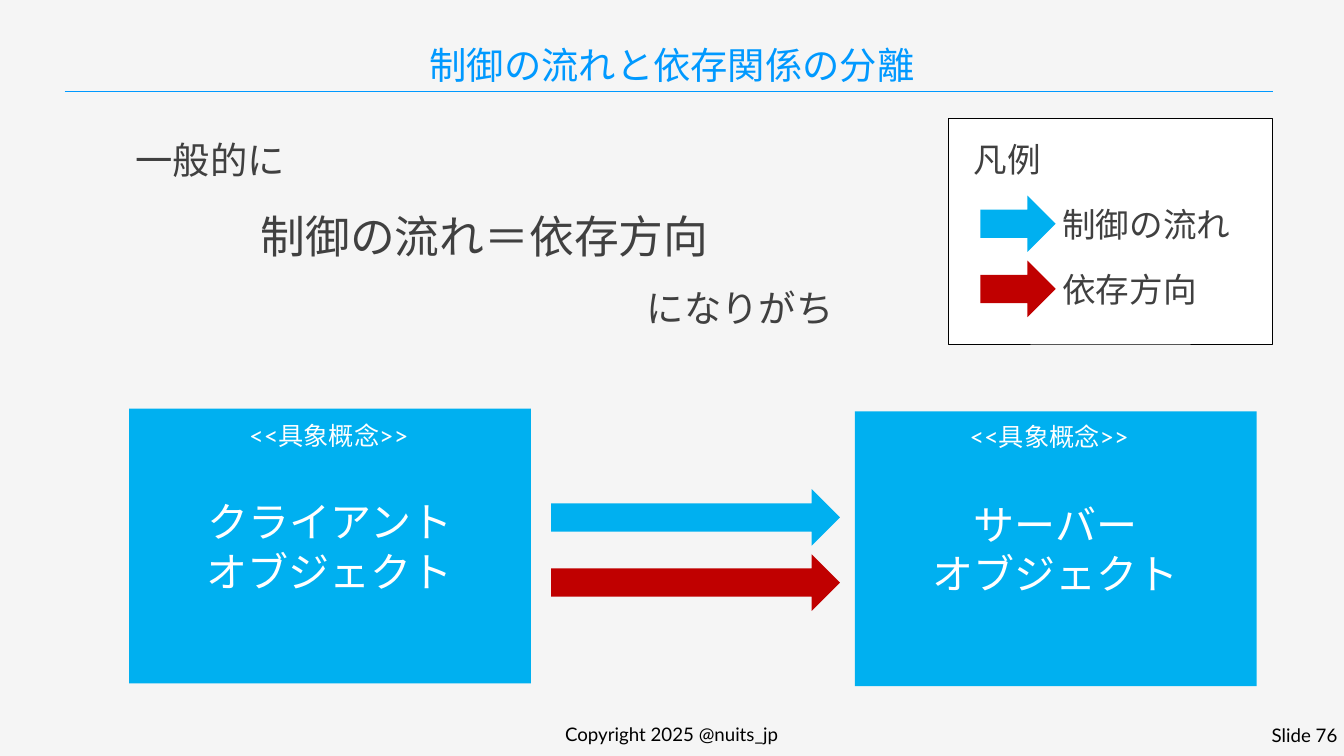
from pptx import Presentation
from pptx.dml.color import RGBColor
from pptx.enum.shapes import MSO_CONNECTOR, MSO_SHAPE
from pptx.enum.text import MSO_ANCHOR, PP_ALIGN
from pptx.oxml.ns import qn
from pptx.util import Inches, Pt
from lxml.etree import SubElement

FONT = "Lato"
BACKGROUND, WHITE, BLACK, GRAY = "F5F5F5", "FFFFFF", "000000", "404040"
TITLE_BLUE, FLOW_BLUE, DEPENDENCY_RED = "0099FF", "00B0F0", "C00000"
LEFT, CENTER, RIGHT = PP_ALIGN.LEFT, PP_ALIGN.CENTER, PP_ALIGN.RIGHT

TITLE = "制御の流れと依存関係の分離"
MESSAGE = [  # text, size, alignment
    ("一般的に", 40, LEFT),
    ("制御の流れ＝依存方向", 48, CENTER),
    ("になりがち", 40, RIGHT),
]
LEGEND_TITLE = "凡例"
ARROWS = [  # meaning, colour, legend label width
    ("制御の流れ", FLOW_BLUE, 2.73),
    ("依存方向", DEPENDENCY_RED, 2.22),
]
STEREOTYPE = "<<具象概念>>"
OBJECTS = [  # name lines, left, top, stereotype left, stereotype top
    (["クライアント", "オブジェクト"], 1.92, 6.08, 3.61, 6.21),
    (["サーバー", "オブジェクト"], 12.72, 6.12, 14.33, 6.22),
]
FOOTER = "Copyright 2025 @nuits_jp"
SLIDE_NUMBER = "Slide 76"

OBJECT_SIZE = (5.98, 4.09)
ARROW_HEIGHT, ARROW_PITCH = 0.84, 0.97


def color(hex_code):
    return RGBColor.from_string(hex_code)


def write(shape, lines, text_color, anchor=MSO_ANCHOR.TOP, wrap=True, spacing=None):
    """Fill a shape with (text, size, alignment) lines."""
    frame = shape.text_frame
    frame.word_wrap = wrap
    frame.vertical_anchor = anchor
    for index, (text, size, alignment) in enumerate(lines):
        paragraph = frame.add_paragraph() if index else frame.paragraphs[0]
        paragraph.text = text
        paragraph.alignment = alignment
        if spacing:
            paragraph.line_spacing = spacing
        paragraph.font.name = FONT
        paragraph.font.size = Pt(size)
        paragraph.font.color.rgb = color(text_color)


def add_text(shapes, box, lines, text_color, **options):
    write(shapes.add_textbox(*map(Inches, box)), lines, text_color, **options)


def add_block(shapes, kind, box, fill, outline=None):
    """Add a flat preset shape, outlined only when a colour is given."""
    shape = shapes.add_shape(kind, *map(Inches, box))
    shape.shadow.inherit = False
    shape.fill.solid()
    shape.fill.fore_color.rgb = color(fill)
    if outline:
        shape.line.color.rgb = color(outline)
        shape.line.width = Pt(1)
    else:
        shape.line.fill.background()
    return shape


def add_header_and_footer(shapes):
    rule = shapes.add_connector(
        MSO_CONNECTOR.STRAIGHT, Inches(0.96), Inches(1.36), Inches(18.94), Inches(1.36))
    rule.line.color.rgb = color(TITLE_BLUE)
    rule.line.width = Pt(0.5)
    SubElement(rule._element.spPr, qn("a:effectLst"))
    add_text(shapes, (0.35, 0.51, 19.3, 0.84), [(TITLE, 40, CENTER)], TITLE_BLUE,
             anchor=MSO_ANCHOR.BOTTOM, spacing=0.9)
    add_text(shapes, (6.62, 10.74, 6.75, 0.38), [(FOOTER, 20, CENTER)], BLACK,
             anchor=MSO_ANCHOR.MIDDLE)
    add_text(shapes, (18.28, 10.75, 1.72, 0.37), [(SLIDE_NUMBER, 20, RIGHT)], BLACK,
             anchor=MSO_ANCHOR.MIDDLE)


def add_legend(shapes):
    legend = shapes.add_group_shape().shapes
    add_block(legend, MSO_SHAPE.RECTANGLE, (14.12, 1.76, 4.81, 3.36), WHITE, BLACK)
    add_text(legend, (14.39, 2.02, 1.21, 0.71), [(LEGEND_TITLE, 36, LEFT)], GRAY, wrap=False)
    for index, (meaning, fill, label_width) in enumerate(ARROWS):
        top = 2.91 + index * ARROW_PITCH
        add_block(legend, MSO_SHAPE.RIGHT_ARROW, (14.59, top, 1.12, ARROW_HEIGHT), fill)
        add_text(legend, (15.71, top + 0.07, label_width, 0.71), [(meaning, 36, LEFT)],
                 GRAY, wrap=False)


def add_diagram(shapes):
    for name_lines, left, top, stereotype_left, stereotype_top in OBJECTS:
        block = add_block(shapes, MSO_SHAPE.RECTANGLE, (left, top, *OBJECT_SIZE), FLOW_BLUE)
        write(block, [(line, 44, CENTER) for line in name_lines], WHITE,
              anchor=MSO_ANCHOR.MIDDLE)
        add_text(shapes, (stereotype_left, stereotype_top, 2.75, 0.56),
                 [(STEREOTYPE, 27, LEFT)], WHITE, wrap=False)
    for index, (_, fill, _) in enumerate(ARROWS):
        add_block(shapes, MSO_SHAPE.RIGHT_ARROW,
                  (8.2, 7.28 + index * ARROW_PITCH, 4.3, ARROW_HEIGHT), fill)


def main():
    presentation = Presentation()
    presentation.slide_width = Inches(20)
    presentation.slide_height = Inches(11.25)
    slide = presentation.slides.add_slide(presentation.slide_layouts[6])
    slide.background.fill.solid()
    slide.background.fill.fore_color.rgb = color(BACKGROUND)

    add_header_and_footer(slide.shapes)
    add_legend(slide.shapes)
    add_text(slide.shapes, (1.92, 1.66, 10.58, 3.23), MESSAGE, GRAY, spacing=1.5)
    add_diagram(slide.shapes)
    presentation.save("out.pptx")


if __name__ == "__main__":
    main()
